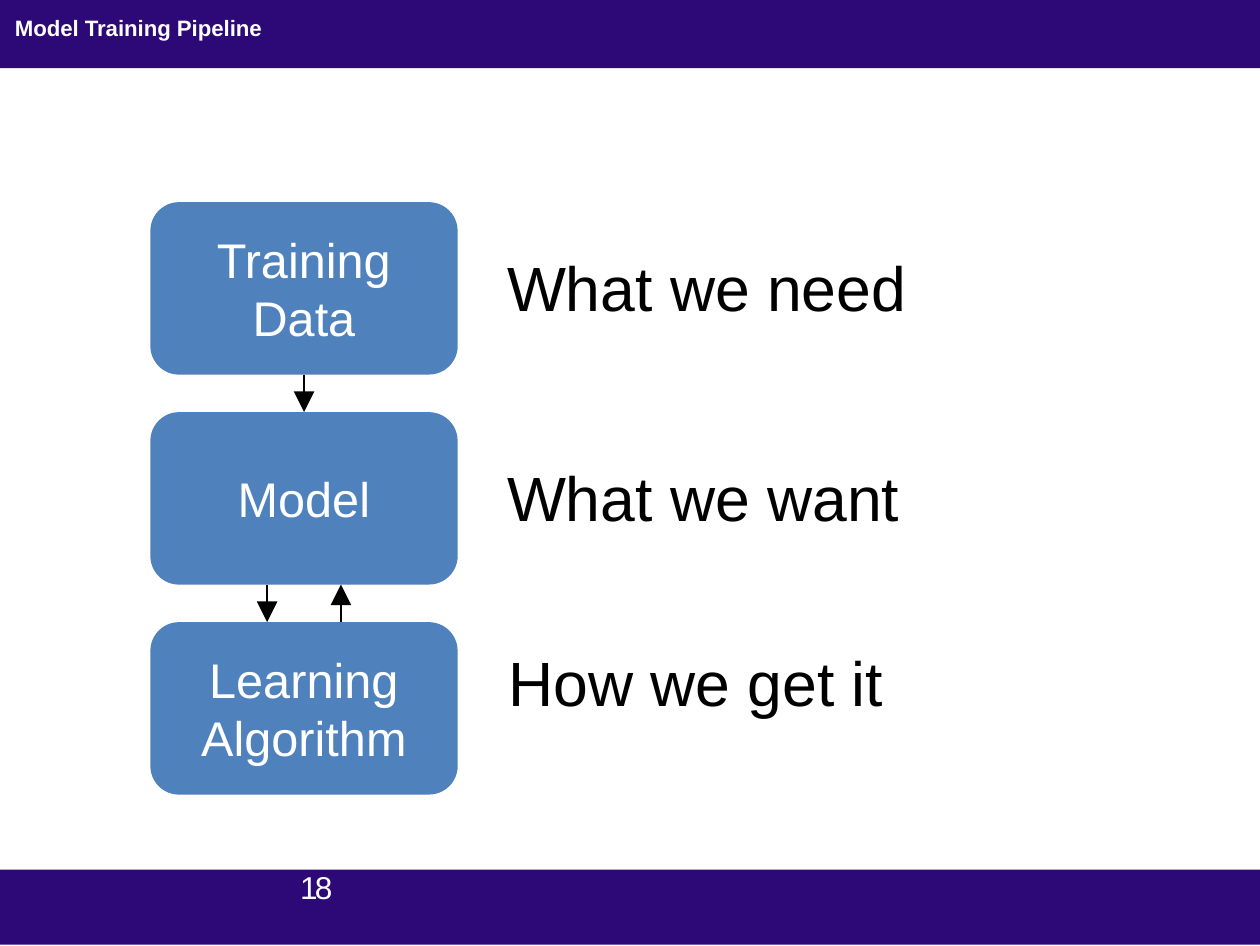
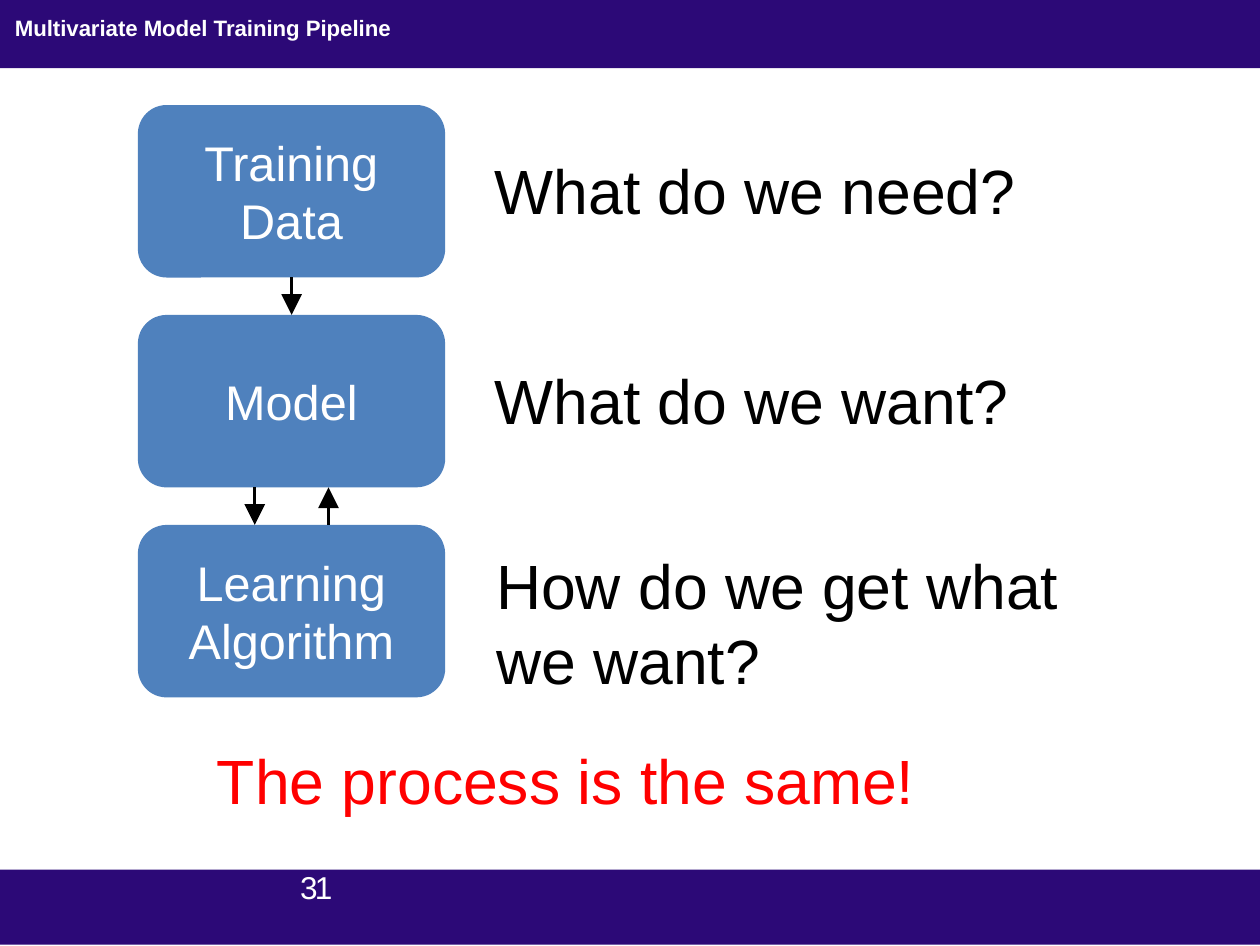
import pptx
import pptx.util
from pptx.dml.color import RGBColor
from pptx.enum.shapes import MSO_CONNECTOR, MSO_SHAPE
from pptx.enum.text import MSO_ANCHOR, MSO_AUTO_SIZE, PP_ALIGN
from pptx.oxml.ns import qn
from lxml import etree

COLORS = {"band": "2C0977", "stage": "4F81BD", "light": "FFFFFF",
          "ink": "000000", "accent": "FF0000"}
FONT = "Arial"

# Slide size in points, and a grid of square cells in inches
WIDTH, HEIGHT = 363, 272.5
CELL = 0.06
COLUMNS, ROWS = WIDTH / 72 / CELL, 63

# Pipeline measures, in cells
STAGE_W, STAGE_H, STAGE_GAP = 20.5, 11.5, 2.5
PITCH = STAGE_H + STAGE_GAP
STAGES = ["Training Data", "Model", "Learning Algorithm"]
# Gap below which stage, share of the stage width, points down
ARROWS = [(0, 0.5, True), (1, 0.38, True), (1, 0.62, False)]


def cells(*counts):
    return [pptx.util.Inches(count * CELL) for count in counts]


def color(name):
    return RGBColor.from_string(COLORS[name])


def write(shape, text, size, ink, align=PP_ALIGN.LEFT, bold=False):
    frame = shape.text_frame
    frame.text = text
    frame.word_wrap = True
    paragraph = frame.paragraphs[0]
    paragraph.alignment = align
    font = paragraph.runs[0].font
    font.name, font.size, font.bold = FONT, pptx.util.Pt(size), bold
    font.color.rgb = color(ink)
    return frame


def remove_margins(frame):
    frame.margin_left = frame.margin_right = 0
    frame.margin_top = frame.margin_bottom = 0


def add_filled(slide, preset, box, fill):
    shape = slide.shapes.add_shape(preset, *cells(*box))
    shape.shadow.inherit = False
    shape.fill.solid()
    shape.fill.fore_color.rgb = color(fill)
    shape.line.fill.background()
    return shape


def add_text(slide, text, box, ink="ink"):
    textbox = slide.shapes.add_textbox(*cells(*box))
    frame = write(textbox, text, 18, ink)
    frame.auto_size = MSO_AUTO_SIZE.SHAPE_TO_FIT_TEXT


def add_arrow(slide, x, start, end):
    arrow = slide.shapes.add_connector(MSO_CONNECTOR.STRAIGHT, *cells(x, start, x, end))
    arrow.line.color.rgb = color("ink")
    arrow.line.width = pptx.util.Pt(0.75)
    outline = arrow.element.spPr.find(qn("a:ln"))
    etree.SubElement(outline, qn("a:tailEnd"), type="triangle")
    etree.SubElement(arrow.element.spPr, qn("a:effectLst"))


def put_bands_on_layout(layout, slide):
    """Draw both bands once and hand them to the shared layout."""
    for placeholder in list(layout.placeholders)[1:]:
        placeholder.element.getparent().remove(placeholder.element)
    bands = [add_filled(slide, MSO_SHAPE.RECTANGLE, box, "band")
             for box in [(0, 0, COLUMNS, 4.55), (0, 58, COLUMNS, ROWS - 58)]]
    for band in bands:
        layout.element.cSld.spTree.insert(2, band.element)


def add_heading(slide, text):
    title = slide.shapes.title
    title.left, title.top, title.width, title.height = cells(1, 0.93, 82, 2.33)
    frame = write(title, text, 6.4, "light", bold=True)
    frame.auto_size = MSO_AUTO_SIZE.NONE
    frame.vertical_anchor = MSO_ANCHOR.TOP
    remove_margins(frame)


def add_page_number(slide, number):
    page = slide.shapes.add_textbox(*cells(2.85, 58.62, 19.33, 1.83))
    frame = write(page, number, 9.1, "light", PP_ALIGN.RIGHT)
    frame.paragraphs[0].line_spacing = pptx.util.Pt(7.7)
    frame.auto_size = MSO_AUTO_SIZE.SHAPE_TO_FIT_TEXT
    remove_margins(frame)
    for properties in page.element.iter(qn("a:rPr")):
        properties.set("spc", "-80")


def add_pipeline(slide, left, top, captions):
    """Three stages downwards, with a caption beside each."""
    # Captions; the last one sits higher beside its stage
    offsets = [(22.15, 2.33), (22.15, 2.33), (22.25, 0.67)]
    for row, (caption, (dx, dy)) in enumerate(zip(captions, offsets)):
        height = 11.83 if len(caption) > 20 else 6.67
        add_text(slide, caption, (left + dx, top + row * PITCH + dy, 44.33, height))

    # Stages
    for row, name in enumerate(STAGES):
        stage = add_filled(slide, MSO_SHAPE.ROUNDED_RECTANGLE,
                           (left, top + row * PITCH, STAGE_W, STAGE_H), "stage")
        frame = write(stage, name, 14, "light", PP_ALIGN.CENTER)
        frame.vertical_anchor = MSO_ANCHOR.MIDDLE

    # Arrows across the gaps
    for row, share, down in ARROWS:
        upper = top + row * PITCH + STAGE_H
        lower = upper + STAGE_GAP
        start, end = (upper, lower) if down else (lower, upper)
        add_arrow(slide, left + share * STAGE_W, start, end)


def add_pipeline_slide(slide, heading, number, origin, captions, conclusion=None):
    add_heading(slide, heading)
    add_page_number(slide, number)
    add_pipeline(slide, *origin, captions)
    if conclusion:
        add_text(slide, conclusion, (12.83, 48.67, 52.5, 6.67), "accent")


def main():
    deck = pptx.Presentation()
    deck.slide_width = pptx.util.Pt(WIDTH)
    deck.slide_height = pptx.util.Pt(HEIGHT)
    layout = deck.slide_layouts.get_by_name("Title Only")

    univariate = deck.slides.add_slide(layout)
    put_bands_on_layout(layout, univariate)
    add_pipeline_slide(univariate, "Model Training Pipeline", "18", (10.03, 13.48),
                       ["What we need", "What we want", "How we get it"])

    multivariate = deck.slides.add_slide(layout)
    add_pipeline_slide(multivariate, "Multivariate Model Training Pipeline", "31", (9.2, 7),
                       ["What do we need?", "What do we want?", "How do we get what we want?"],
                       "The process is the same!")

    deck.save("out.pptx")


if __name__ == "__main__":
    main()
